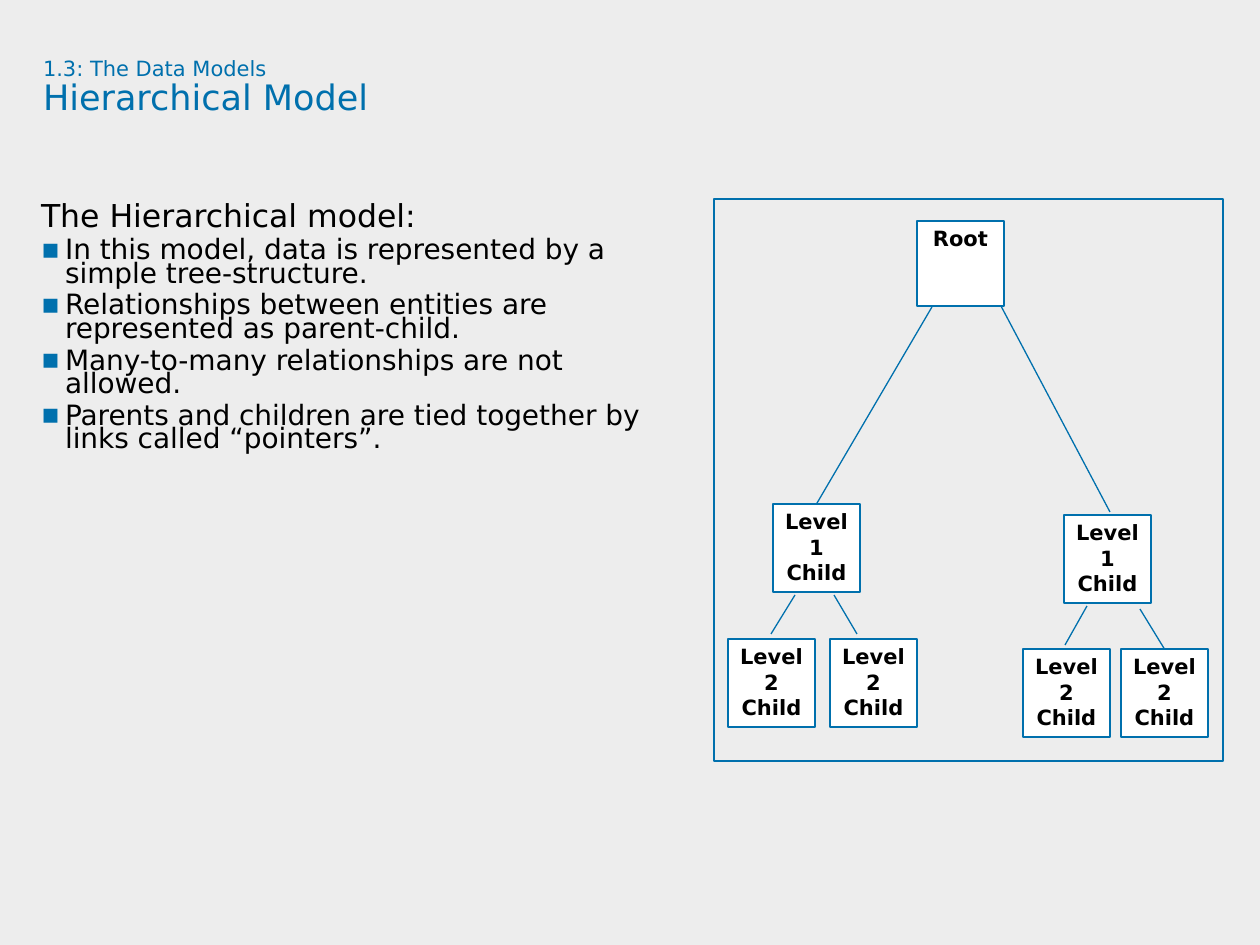
from lxml import etree
from pptx import Presentation
from pptx.dml.color import RGBColor
from pptx.enum.shapes import MSO_CONNECTOR, MSO_SHAPE
from pptx.enum.text import MSO_ANCHOR, MSO_AUTO_SIZE, PP_ALIGN
from pptx.oxml.ns import qn
from pptx.util import Pt

RECT, STRAIGHT = MSO_SHAPE.RECTANGLE, MSO_CONNECTOR.STRAIGHT
TOP, NO_FIT = MSO_ANCHOR.TOP, MSO_AUTO_SIZE.NONE
LEFT, CENTER = PP_ALIGN.LEFT, PP_ALIGN.CENTER
BLUE = RGBColor(0x00, 0x70, 0xAD)
GRAY = RGBColor(0xED, 0xED, 0xED)
WHITE = RGBColor(0xFF, 0xFF, 0xFF)
BLACK = RGBColor(0x00, 0x00, 0x00)
FONT = "DejaVu Sans"
PX = 914400 / 126

TITLE = [("1.3: The Data Models", 12), ("Hierarchical Model", 20)]
HEADING = "The Hierarchical model:"
BULLETS = [
    "In this model, data is represented by a simple tree-structure.",
    "Relationships between entities are represented as parent-child.",
    "Many-to-many relationships are not allowed.",
    "Parents and children are tied together by links called “pointers”.",
]
FRAME = (714, 199, 509, 562)
BOX_W, BOX_H, ROOT_H = 87, 88, 85
LEVEL_1, LEVEL_2 = "Level 1\nChild", "Level 2\nChild"
NODES = {
    "root": ("Root", 917, 221, ROOT_H),
    "left": (LEVEL_1, 773, 504, BOX_H),
    "right": (LEVEL_1, 1064, 515, BOX_H),
    "left a": (LEVEL_2, 728, 639, BOX_H),
    "left b": (LEVEL_2, 830, 639, BOX_H),
    "right a": (LEVEL_2, 1023, 649, BOX_H),
    "right b": (LEVEL_2, 1121, 649, BOX_H),
}
LINKS = [
    ((932, 307), (816, 503), "left"),
    ((1001, 306), (1110, 512), None),
    ((795, 595), (771, 634), None),
    ((834, 595), (857, 634), None),
    ((1087, 606), (1065, 645), None),
    ((1140, 609), (1164, 648), "right b"),
]


def px(*values):
    return [round(v * PX) for v in values]


def style(r, size, color, bold=False):
    r.font.name, r.font.size, r.font.bold = FONT, Pt(size), bold
    r.font.color.rgb = color


def place(sp, *box):
    sp.left, sp.top, sp.width, sp.height = px(*box)
    tf = sp.text_frame
    tf.margin_left = tf.margin_top = tf.margin_right = tf.margin_bottom = 0
    tf.vertical_anchor, tf.auto_size, tf.word_wrap = TOP, NO_FIT, True
    return tf


def set_bullet(p, char=None, indent=0):
    pPr = p._p.get_or_add_pPr()
    pPr.set("marL", str(px(indent)[0]))
    pPr.set("indent", str(px(-indent)[0]))
    if char is None:
        etree.SubElement(pPr, qn("a:buNone"))
        return
    clr = etree.SubElement(pPr, qn("a:buClr"))
    etree.SubElement(clr, qn("a:srgbClr"), val=str(BLUE))
    etree.SubElement(pPr, qn("a:buFont"), typeface=FONT)
    etree.SubElement(pPr, qn("a:buChar"), char=char)


def add_box(s, x, y, w, h, fill=None):
    sp = s.shapes.add_shape(RECT, *px(x, y, w, h))
    sp.shadow.inherit = False
    if fill is None:
        sp.fill.background()
    else:
        sp.fill.solid()
        sp.fill.fore_color.rgb = fill
    sp.line.color.rgb, sp.line.width = BLUE, Pt(0.75)
    return sp


def add_node(s, text, x, y, h):
    sp = add_box(s, x, y, BOX_W, h, WHITE)
    tf = sp.text_frame
    tf.text, tf.word_wrap, tf.vertical_anchor = text, True, TOP
    tf.margin_left, tf.margin_top, tf.margin_right, tf.margin_bottom = px(11, 5, 11, 5)
    for p in tf.paragraphs:
        p.alignment = CENTER
        style(p.runs[0], 12, BLACK, True)
    return sp


def add_link(s, start, end, target):
    cn = s.shapes.add_connector(STRAIGHT, *px(*start, *end))
    cn.line.color.rgb, cn.line.width = BLUE, Pt(0.75)
    etree.SubElement(cn._element.spPr, qn("a:effectLst"))
    if target is not None:
        cn.end_connect(target, 0)


def add_title(s):
    tf = place(s.shapes.title, 43, 58, 1145, 118)
    tf.text = "\v".join(text for text, size in TITLE)
    p = tf.paragraphs[0]
    p.alignment, p.line_spacing = LEFT, 0.9
    for r, (text, size) in zip(p.runs, TITLE):
        style(r, size, BLUE)


def add_body(s):
    tf = place(s.placeholders[1], 41, 205, 638, 640)
    tf.text = "\n".join([HEADING, *BULLETS])
    for i, p in enumerate(tf.paragraphs):
        p.level = min(i, 1)
        p.alignment = LEFT
        p.line_spacing = Pt(13.5 if i else 16.5)
        p.space_before, p.space_after = Pt(0), Pt(4.5)
        set_bullet(p, *(("▪", 24) if i else ()))
        style(p.runs[0], 16 if i else 18, BLACK)


def main():
    prs = Presentation()
    prs.slide_width, prs.slide_height = px(1260, 945)
    s = prs.slides.add_slide(prs.slide_layouts[1])
    s.background.fill.solid()
    s.background.fill.fore_color.rgb = GRAY
    add_title(s)
    add_body(s)
    add_box(s, *FRAME)
    nodes = {name: add_node(s, *node) for name, node in NODES.items()}
    for start, end, target in LINKS:
        add_link(s, start, end, nodes.get(target))
    prs.save("out.pptx")


if __name__ == "__main__":
    main()
